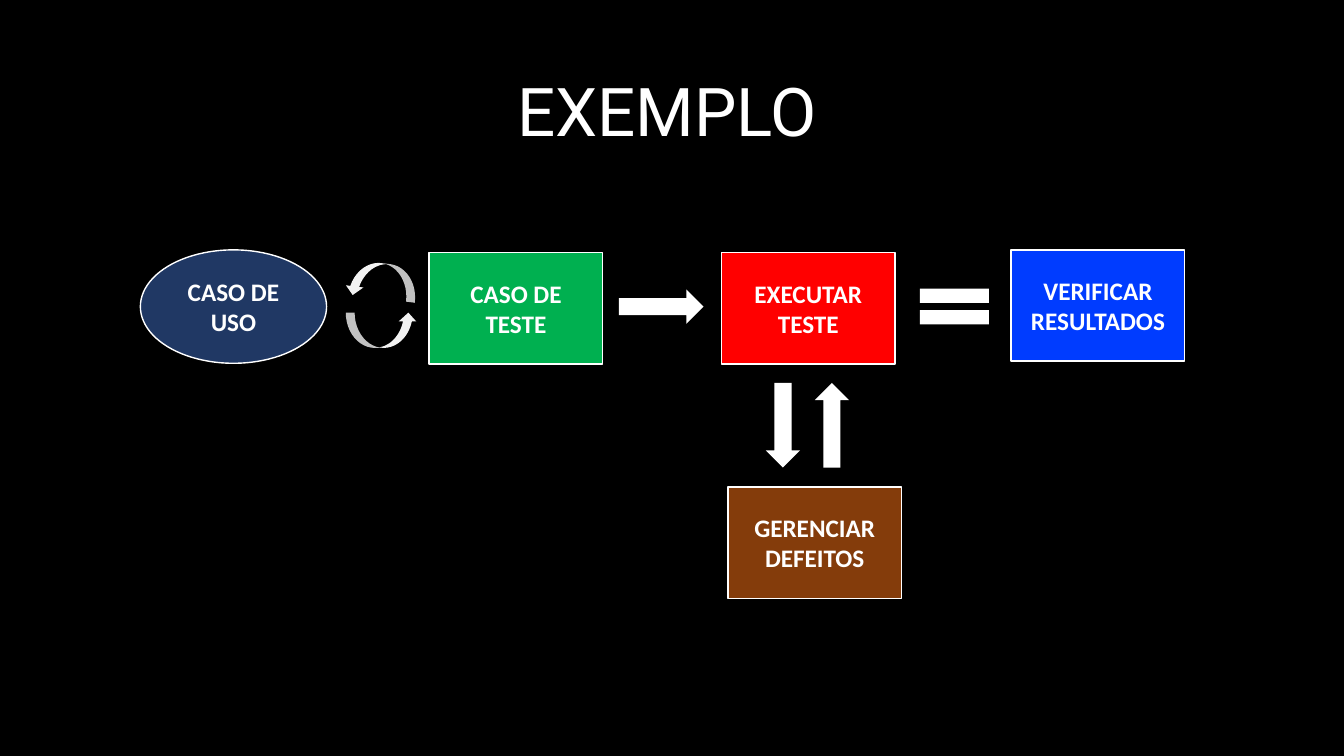
from pptx import Presentation
from pptx.dml.color import RGBColor
from pptx.enum.shapes import MSO_SHAPE
from pptx.enum.text import MSO_ANCHOR, PP_ALIGN
from pptx.util import Pt

RECT, OVAL = MSO_SHAPE.RECTANGLE, MSO_SHAPE.OVAL
ARROW, CURVED = MSO_SHAPE.RIGHT_ARROW, MSO_SHAPE.CURVED_UP_ARROW
EQUAL = MSO_SHAPE.MATH_EQUAL
MIDDLE, CENTER = MSO_ANCHOR.MIDDLE, PP_ALIGN.CENTER

COLORS = {
    "black": "000000", "white": "FFFFFF", "gray": "F2F2F2", "navy": "203864",
    "green": "00B050", "red": "FF0000", "blue": "003CFF", "brown": "843C0B",
}
TITLE = "EXEMPLO"
BOX, ELLIPSE = (124, 79.5), (133, 81)
BLOCK, CURVE, SIGN = (60.5, 24.5), (51, 25.2), (67, 43.2)

STEPS = [
    (["CASO DE USO"], OVAL, "navy", (100.3, 178.5), ELLIPSE),
    (["CASO DE TESTE"], RECT, "green", (306.6, 180.5), BOX),
    (["EXECUTAR", "TESTE"], RECT, "red", (515.4, 180.5), BOX),
    (["VERIFICAR RESULTADOS"], RECT, "blue", (722.3, 178.5), BOX),
    (["GERENCIAR DEFEITOS"], RECT, "brown", (520, 347.9), BOX),
]
LINKS = [
    (CURVED, "gray", (247, 223.3), CURVE, 0),
    (CURVED, "gray", (247, 188), CURVE, 187.1),
    (ARROW, "white", (442.1, 206.8), BLOCK, 0),
    (ARROW, "white", (529, 291.5), BLOCK, 90),
    (ARROW, "white", (564, 291.5), BLOCK, 270),
    (EQUAL, "white", (648.2, 197.4), SIGN, 0),
]


def color(name):
    return RGBColor.from_string(COLORS[name])


def write(sp, lines, size, font, bold=False, spacing=None):
    tf = sp.text_frame
    tf.word_wrap = True
    tf.vertical_anchor = MIDDLE
    for i, line in enumerate(lines):
        p = tf.add_paragraph() if i else tf.paragraphs[0]
        p.alignment = CENTER
        p.line_spacing = spacing
        r = p.add_run()
        r.text = line
        r.font.size = Pt(size)
        r.font.name = font
        r.font.bold = bold
        r.font.color.rgb = color("white")


def add_figure(kind, fill, at, size, outlined=False, turn=0):
    sp = s.shapes.add_shape(kind, *map(Pt, at + size))
    sp.shadow.inherit = False
    sp.rotation = turn
    sp.fill.solid()
    sp.fill.fore_color.rgb = color(fill)
    if outlined:
        sp.line.color.rgb = color("white")
        sp.line.width = Pt(1)
    else:
        sp.line.fill.background()
    return sp


prs = Presentation()
prs.slide_width, prs.slide_height = Pt(960), Pt(540)
s = prs.slides.add_slide(prs.slide_layouts[6])
s.background.fill.solid()
s.background.fill.fore_color.rgb = color("black")

title = s.shapes.add_textbox(Pt(30), Pt(30), Pt(893), Pt(104.4))
write(title, [TITLE], 48, "Roboto", spacing=0.9)

for lines, kind, fill, at, size in STEPS:
    write(add_figure(kind, fill, at, size, outlined=True), lines, 18, "Calibri", bold=True)

for kind, fill, at, size, turn in LINKS:
    add_figure(kind, fill, at, size, turn=turn)

prs.save("out.pptx")
